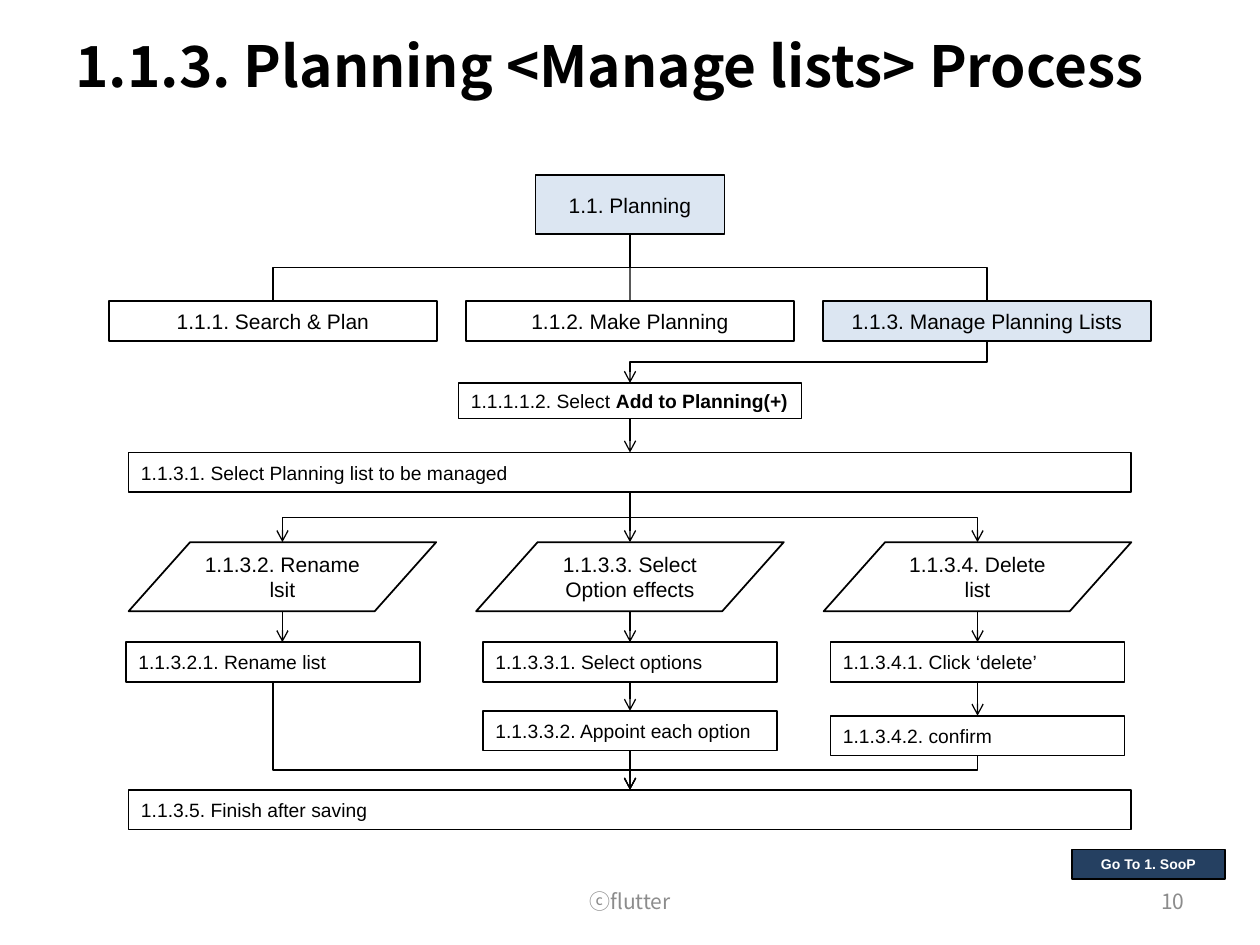
from lxml.etree import SubElement
from pptx import Presentation
from pptx.dml.color import RGBColor
from pptx.enum.shapes import MSO_CONNECTOR, MSO_SHAPE
from pptx.enum.text import MSO_ANCHOR, PP_ALIGN
from pptx.oxml.ns import qn
from pptx.util import Pt

COLORS = {"black": "000000", "grey": "8C8C8C", "light": "DCE6F2",
          "navy": "254061", "white": "FFFFFF"}
BODY_FONT = "Arial"
TITLE_FONT = "Noto Sans CJK KR"
MID = 360           # centre line of the slide
TREE_STEP = 204     # between the boxes of the upper tree
FLOW_STEP = 198.6   # between the columns of the flow
BOX_H = 22.7
STEP_W = 168
BAR_W = 573
MERGE_Y = 440       # height where the columns join again


def rgb(name):
    return RGBColor.from_string(COLORS[name])


def add_run(p, text, size, color="black", font=BODY_FONT, bold=False):
    r = p.add_run()
    r.text = text
    r.font.size = Pt(size)
    r.font.name = font
    r.font.bold = bold
    r.font.color.rgb = rgb(color)
    SubElement(r._r.get_or_add_rPr(), qn("a:ea")).set("typeface", font)


def add_text(s, left, top, width, height, text, size, align, color="black", bold=False):
    tf = s.shapes.add_textbox(Pt(left), Pt(top), Pt(width), Pt(height)).text_frame
    tf.word_wrap = True
    tf.vertical_anchor = MSO_ANCHOR.MIDDLE
    p = tf.paragraphs[0]
    p.alignment = align
    add_run(p, text, size, color, TITLE_FONT, bold)


def add_box(s, cx, top, width, height, runs, size=11, align=PP_ALIGN.LEFT,
            fill=None, color="black", kind=MSO_SHAPE.RECTANGLE):
    """Outlined shape centred on cx; runs is a list of (text, bold)."""
    sp = s.shapes.add_shape(kind, Pt(cx - width / 2), Pt(top), Pt(width), Pt(height))
    sp.shadow.inherit = False
    if fill:
        sp.fill.solid()
        sp.fill.fore_color.rgb = rgb(fill)
    else:
        sp.fill.background()
    sp.line.color.rgb = rgb("black")
    sp.line.width = Pt(1)
    tf = sp.text_frame
    tf.word_wrap = True
    tf.vertical_anchor = MSO_ANCHOR.MIDDLE
    if align == PP_ALIGN.LEFT:
        tf.margin_right = 0
    p = tf.paragraphs[0]
    p.alignment = align
    for text, bold in runs:
        add_run(p, text, size, color, bold=bold)
    return sp


def add_tree_box(s, cx, top, width, height, text, fill=None):
    return add_box(s, cx, top, width, height, [(text, False)], 12, PP_ALIGN.CENTER, fill)


def add_step(s, cx, top, text, width=STEP_W):
    return add_box(s, cx, top, width, BOX_H, [(text, False)])


def add_choice(s, cx, text):
    return add_box(s, cx, 309.8, 175.8, 39.5, [(text, False)], 12, PP_ALIGN.CENTER,
                   kind=MSO_SHAPE.FLOWCHART_DATA)


def center_x(sp):
    return sp.left + sp.width // 2


def is_rectangle(sp):
    return sp.auto_shape_type == MSO_SHAPE.RECTANGLE


def add_straight(s, upper, lower):
    x = center_x(upper)
    line = s.shapes.add_connector(MSO_CONNECTOR.STRAIGHT, x, upper.top + upper.height,
                                  x, lower.top)
    if is_rectangle(upper):
        line.begin_connect(upper, 2)
    if is_rectangle(lower) and abs(center_x(lower) - x) < Pt(1):
        line.end_connect(lower, 0)
    return line


def add_elbow(s, upper, lower, bend_y=None):
    """Down, across and down again: a bent connector turned by a quarter."""
    x1, y1 = center_x(upper), upper.top + upper.height
    x2, y2 = center_x(lower), lower.top
    drop, span = y2 - y1, abs(x2 - x1)
    left, top = (x1 + x2 - drop) // 2, (y1 + y2 - span) // 2
    ends = (left, left + drop) if x2 < x1 else (left + drop, left)
    line = s.shapes.add_connector(MSO_CONNECTOR.ELBOW, ends[0], top, ends[1], top + span)
    sp_pr = line._element.spPr
    sp_pr.find(qn("a:xfrm")).set("rot", str((90 if x2 < x1 else 270) * 60000))
    if bend_y:
        guide = SubElement(sp_pr.find(qn("a:prstGeom")).find(qn("a:avLst")), qn("a:gd"))
        guide.set("name", "adj1")
        guide.set("fmla", f"val {round((Pt(bend_y) - y1) / drop * 100000)}")
    return line


def link(s, upper, lower, arrow=True, bend_y=None):
    if abs(center_x(upper) - center_x(lower)) < Pt(10):
        line = add_straight(s, upper, lower)
    else:
        line = add_elbow(s, upper, lower, bend_y)
    line.line.color.rgb = rgb("black")
    line.line.width = Pt(0.75)
    if arrow:
        SubElement(line.line._get_or_add_ln(), qn("a:tailEnd")).set("type", "arrow")
    SubElement(line._element.spPr, qn("a:effectLst"))


def main():
    prs = Presentation()
    prs.slide_width, prs.slide_height = Pt(720), Pt(540)
    s = prs.slides.add_slide(prs.slide_layouts[6])

    add_text(s, 36, 9.4, 648, 55.4, "1.1.3. Planning <Manage lists> Process", 32.4,
             PP_ALIGN.LEFT, bold=True)
    add_text(s, 246, 500.4, 228, 28.8, "ⓒflutter", 12, PP_ALIGN.CENTER, "grey")
    add_text(s, 516, 500.4, 168, 28.8, "10", 12, PP_ALIGN.RIGHT, "grey")

    planning = add_tree_box(s, MID, 100, 108, 33.9, "1.1. Planning", "light")
    branches = [("1.1.1. Search & Plan", None), ("1.1.2. Make Planning", None),
                ("1.1.3. Manage Planning Lists", "light")]
    for i, (text, fill) in enumerate(branches):
        branch = add_tree_box(s, MID + (i - 1) * TREE_STEP, 172.1, 187.2, BOX_H, text, fill)
        link(s, planning, branch, arrow=False)

    select = add_box(s, MID, 218.9, 196, 20.2,
                     [("1.1.1.1.2. Select ", False), ("Add to Planning(+)", True)])
    manage = add_step(s, MID, 258.6, "1.1.3.1. Select Planning list to be managed", BAR_W)
    finish = add_step(s, MID, 451.3, "1.1.3.5. Finish after saving", BAR_W)
    link(s, branch, select)
    link(s, select, manage)

    # choice, shift of the steps from the column centre, steps with their tops
    columns = [
        ("1.1.3.2. Rename lsit", -5.4, [("1.1.3.2.1. Rename list", 367)]),
        ("1.1.3.3. Select Option effects", 0,
         [("1.1.3.3.1. Select options", 367), ("1.1.3.3.2. Appoint each option", 406.2)]),
        ("1.1.3.4. Delete list", 0,
         [("1.1.3.4.1. Click ‘delete’", 367), ("1.1.3.4.2. confirm", 409)]),
    ]
    for i, (choice, shift, steps) in enumerate(columns):
        cx = MID + (i - 1) * FLOW_STEP
        last = add_choice(s, cx, choice)
        link(s, manage, last)
        for text, top in steps:
            step = add_step(s, cx + shift, top, text)
            link(s, last, step)
            last = step
        link(s, last, finish, bend_y=MERGE_Y)

    add_box(s, 656.3, 485.4, 87.2, 17, [("Go To 1. SooP", True)], 8, PP_ALIGN.CENTER,
            "navy", "white")
    prs.save("out.pptx")


if __name__ == "__main__":
    main()
